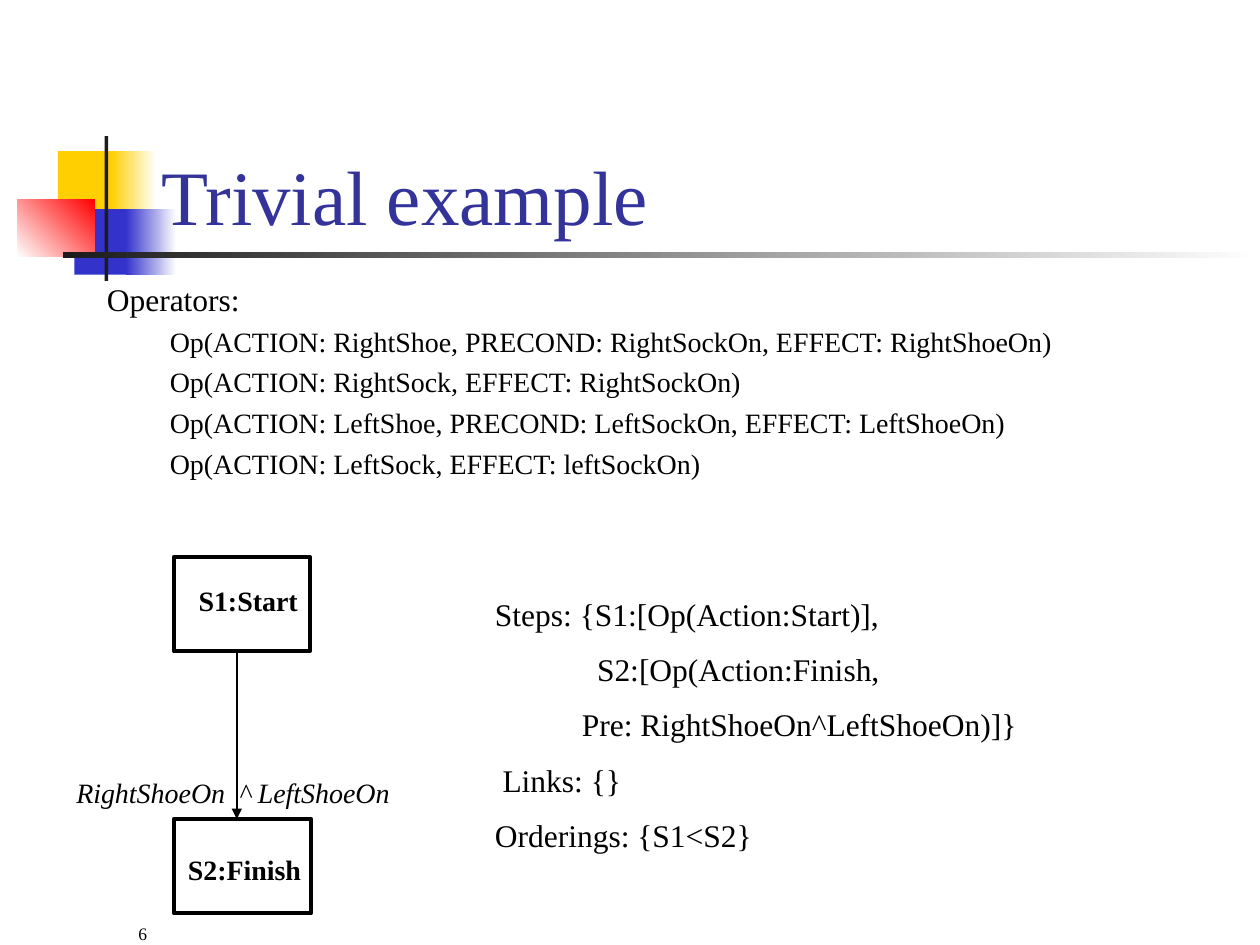
from lxml.etree import SubElement
from pptx import Presentation
from pptx.dml.color import RGBColor
from pptx.enum.shapes import MSO_CONNECTOR, MSO_SHAPE
from pptx.enum.text import MSO_ANCHOR, PP_ALIGN
from pptx.oxml.ns import qn
from pptx.util import Inches, Pt

FONT = "Times New Roman"
COLORS = {
    "yellow": "FFCF01", "blue": "3333CC", "red": "FF0000", "white": "FFFFFF",
    "dark": "1C1C1C", "title": "333399", "black": "000000",
}
DECORATION = [
    ((0.46, 1.2, 0.48, 0.52), ["yellow"], 0),
    ((0.88, 1.2, 0.36, 0.52), ["yellow", "white"], 0),
    ((0.59, 1.66, 0.46, 0.52), ["blue"], 0),
    ((1, 1.66, 0.4, 0.52), ["blue", "white"], 0),
    ((0.14, 1.58, 0.61, 0.46), ["white", "red"], 45),
    ((0.83, 1.08, 0.03, 1.15), ["dark"], 0),
    ((0.5, 2, 9.5, 0.05), ["dark", "white"], 0),
]
OPERATORS = [
    ("Operators:", 0, 18),
    ("Op(ACTION: RightShoe, PRECOND: RightSockOn, EFFECT: RightShoeOn)", 0.5, 16),
    ("Op(ACTION: RightSock, EFFECT: RightSockOn)", 0.5, 16),
    ("Op(ACTION: LeftShoe, PRECOND: LeftSockOn, EFFECT: LeftShoeOn)", 0.5, 16),
    ("Op(ACTION: LeftSock, EFFECT: leftSockOn)", 0.5, 16),
]
PLAN = [
    ("Steps: {S1:[Op(Action:Start)],", 0, 18),
    ("S2:[Op(Action:Finish,", 0.81, 18),
    ("Pre: RightShoeOn^LeftShoeOn)]}", 0.69, 18),
    ("Links: {}", 0.06, 18),
    ("Orderings: {S1<S2}", 0, 18),
]
STEPS = [
    ("S1:Start", (1.38, 4.42, 1.08, 0.75), (1.47, 4.58, 1, 0.37)),
    ("S2:Finish", (1.38, 6.5, 1.09, 0.75), (1.38, 6.72, 1.12, 0.37)),
]


def color(name):
    return RGBColor.from_string(COLORS[name])


def add_rectangle(box):
    shape = slide.shapes.add_shape(MSO_SHAPE.RECTANGLE, *map(Inches, box))
    shape.shadow.inherit = False
    return shape


def add_text(box, lines, ink="black", space=0, anchor=MSO_ANCHOR.TOP,
             align=PP_ALIGN.LEFT, bold=False, italic=False, wrap=True):
    frame = slide.shapes.add_textbox(*map(Inches, box)).text_frame
    frame.word_wrap = wrap
    frame.vertical_anchor = anchor
    for index, (text, indent, size) in enumerate(lines):
        paragraph = frame.add_paragraph() if index else frame.paragraphs[0]
        paragraph.alignment = align
        paragraph.space_before = Pt(space)
        if indent:
            paragraph._p.get_or_add_pPr().set("marL", str(Inches(indent)))
        run = paragraph.add_run()
        run.text = text
        run.font.name = FONT
        run.font.size = Pt(size)
        run.font.bold = bold
        run.font.italic = italic
        run.font.color.rgb = color(ink)


presentation = Presentation()
presentation.slide_width = Inches(10)
presentation.slide_height = Inches(7.5)
slide = presentation.slides.add_slide(presentation.slide_layouts[6])

for box, names, angle in DECORATION:
    shape = add_rectangle(box)
    shape.line.fill.background()
    if len(names) == 1:
        shape.fill.solid()
        shape.fill.fore_color.rgb = color(names[0])
    else:
        shape.fill.gradient()
        shape.fill.gradient_angle = angle
        for stop, name in zip(shape.fill.gradient_stops, names):
            stop.color.rgb = color(name)

add_text((1, 7.04, 2.08, 0.5), [("6", 0, 10)], anchor=MSO_ANCHOR.BOTTOM)
add_text((1.18, 0.71, 8.5, 1.25), [("Trivial example", 0, 44)], "title",
         anchor=MSO_ANCHOR.BOTTOM)
add_text((0.75, 2.17, 8.5, 1.67), OPERATORS, space=4)

for label, box, label_box in STEPS:
    shape = add_rectangle(box)
    shape.fill.background()
    shape.line.color.rgb = color("black")
    shape.line.width = Pt(2.25)
    add_text(label_box, [(label, 0, 16)], align=PP_ALIGN.CENTER, bold=True)

add_text((0.5, 6.11, 2.7, 0.37), [("RightShoeOn  ^ LeftShoeOn", 0, 16)],
         align=PP_ALIGN.CENTER, italic=True, wrap=False)

arrow = slide.shapes.add_connector(
    MSO_CONNECTOR.STRAIGHT, *map(Inches, (1.88, 5.17, 1.88, 6.5)))
arrow.line.color.rgb = color("black")
arrow.line.width = Pt(1)
SubElement(arrow.line._get_or_add_ln(), qn("a:tailEnd"), type="triangle")
SubElement(arrow._element.spPr, qn("a:effectLst"))

add_text((3.83, 4.67, 5.25, 2.21), PLAN, space=10)

presentation.save("out.pptx")
